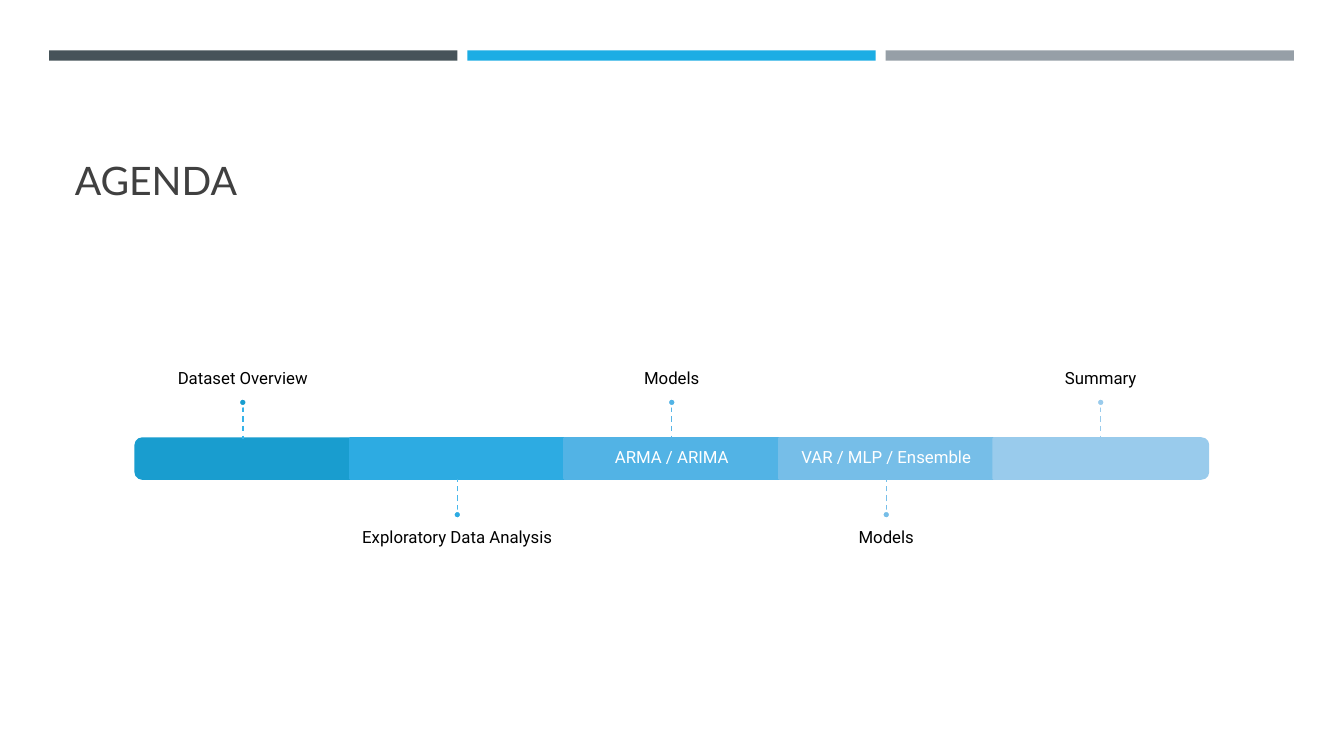
import pptx
import pptx.util
import pptx.dml.color
import pptx.enum.dml
import pptx.enum.shapes
import pptx.enum.text
import pptx.oxml.ns
from lxml import etree
from pptx.util import Cm, Pt

SHAPE = pptx.enum.shapes.MSO_SHAPE
ANCHOR = pptx.enum.text.MSO_ANCHOR
ALIGN = pptx.enum.text.PP_ALIGN

# Timeline geometry, in centimetres
BAR_TOP, BAR_HEIGHT = 11.05, 1.01
BAR_BOTTOM = BAR_TOP + BAR_HEIGHT
FIRST_CENTRE, STAGE_WIDTH = 6.12, 5.405
STEM, DOT = 0.81, 0.2
LABEL_WIDTH, LABEL_HEIGHT = 9.02, 3.53

# Label, text in the bar, bar colour, stem colour
STAGES = [
    ("Dataset Overview", "", "199DCF", "36B3E9"),
    ("Exploratory Data Analysis", "", "2DABE2", "48B8EC"),
    ("Models", "ARMA / ARIMA", "52B3E5", "57B5E6"),
    ("Models", "VAR / MLP / Ensemble", "76BEE8", "77BFE9"),
    ("Summary", "", "99CBEC", "98CBEC"),
]


def rgb(colour):
    return pptx.dml.color.RGBColor.from_string(colour)


def write(frame, text, size, font, colour, align, anchor, line_spacing=None):
    frame.word_wrap = True
    frame.vertical_anchor = anchor
    paragraph = frame.paragraphs[0]
    paragraph.alignment = align
    paragraph.line_spacing = line_spacing
    run = paragraph.add_run()
    run.text = text
    run.font.size = Pt(size)
    run.font.name = font
    run.font.color.rgb = rgb(colour)


def set_margins(frame, sides, top, bottom):
    frame.margin_left = frame.margin_right = Cm(sides)
    frame.margin_top, frame.margin_bottom = Cm(top), Cm(bottom)


def add_filled(slide, kind, left, top, width, height, fill, outline=None):
    shape = slide.shapes.add_shape(kind, Cm(left), Cm(top), Cm(width), Cm(height))
    shape.shadow.inherit = False
    shape.fill.solid()
    shape.fill.fore_color.rgb = rgb(fill)
    if outline:
        shape.line.color.rgb = rgb(outline)
        shape.line.width = Pt(1.75)
    else:
        shape.line.fill.background()
    return shape


def add_segment(slide, centre, colour, caption, rotation):
    if rotation is None:
        segment = add_filled(slide, SHAPE.RECTANGLE, centre - STAGE_WIDTH / 2, BAR_TOP,
                             STAGE_WIDTH, BAR_HEIGHT, colour, colour)
    else:
        # An end piece is an upright shape turned on its side
        middle = BAR_TOP + BAR_HEIGHT / 2
        segment = add_filled(slide, SHAPE.ROUND_2_SAME_RECTANGLE,
                             centre - BAR_HEIGHT / 2, middle - STAGE_WIDTH / 2,
                             BAR_HEIGHT, STAGE_WIDTH, colour, colour)
        segment.rotation = rotation
    if caption:
        set_margins(segment.text_frame, 0.25, 0.25, 0.25)
        write(segment.text_frame, caption, 12, "Roboto", "FFFFFF",
              ALIGN.CENTER, ANCHOR.MIDDLE, 0.9)
    return segment


def add_label(slide, centre, text, above):
    top = BAR_TOP - STEM - DOT - LABEL_HEIGHT if above else BAR_BOTTOM + STEM + DOT
    label = slide.shapes.add_textbox(Cm(centre - LABEL_WIDTH / 2), Cm(top),
                                     Cm(LABEL_WIDTH), Cm(LABEL_HEIGHT))
    set_margins(label.text_frame, 0, 0 if above else 0.25, 0.25 if above else 0)
    write(label.text_frame, text, 12, "Roboto", "000000", ALIGN.CENTER,
          ANCHOR.BOTTOM if above else ANCHOR.TOP, 0.9)


def add_stem(slide, centre, colour, above, segment):
    bar_edge = BAR_TOP if above else BAR_BOTTOM
    dot_edge = bar_edge - STEM if above else bar_edge + STEM
    stem = slide.shapes.add_connector(pptx.enum.shapes.MSO_CONNECTOR.STRAIGHT,
                                      Cm(centre), Cm(dot_edge), Cm(centre), Cm(bar_edge))
    if segment.rotation == 0:
        stem.end_connect(segment, 0 if above else 2)
    stem.line.color.rgb = rgb(colour)
    stem.line.width = Pt(1)
    stem.line.dash_style = pptx.enum.dml.MSO_LINE.DASH
    etree.SubElement(stem._element.spPr, pptx.oxml.ns.qn("a:effectLst"))


def add_dot(slide, centre, colour, above):
    top = BAR_TOP - STEM - DOT if above else BAR_BOTTOM + STEM
    add_filled(slide, SHAPE.OVAL, centre - DOT / 2, top, DOT, DOT, colour, "FFFFFF")


def main():
    deck = pptx.Presentation()
    deck.slide_width, deck.slide_height = Cm(33.87), Cm(19.05)
    slide = deck.slides.add_slide(deck.slide_layouts[5])

    # Header bars
    for column, colour in enumerate(["465359", "1CADE4", "969FA7"]):
        add_filled(slide, SHAPE.RECTANGLE, 1.24 + 10.54 * column, 1.27, 10.29, 0.26, colour)

    # Title
    title = slide.shapes.title
    title.left, title.top, title.width, title.height = Cm(1.63), Cm(1.96), Cm(30.63), Cm(3.3)
    write(title.text_frame, "AGENDA", 28, "Lato", "404040", ALIGN.LEFT, ANCHOR.BOTTOM)

    # Timeline, with labels alternating above and below the bar
    end_rotations = {0: 270, len(STAGES) - 1: 90}
    for index, (label, caption, bar_colour, stem_colour) in enumerate(STAGES):
        centre = FIRST_CENTRE + STAGE_WIDTH * index
        above = index % 2 == 0
        segment = add_segment(slide, centre, bar_colour, caption, end_rotations.get(index))
        add_label(slide, centre, label, above)
        add_stem(slide, centre, stem_colour, above, segment)
        add_dot(slide, centre, bar_colour, above)

    deck.save("out.pptx")


if __name__ == "__main__":
    main()
